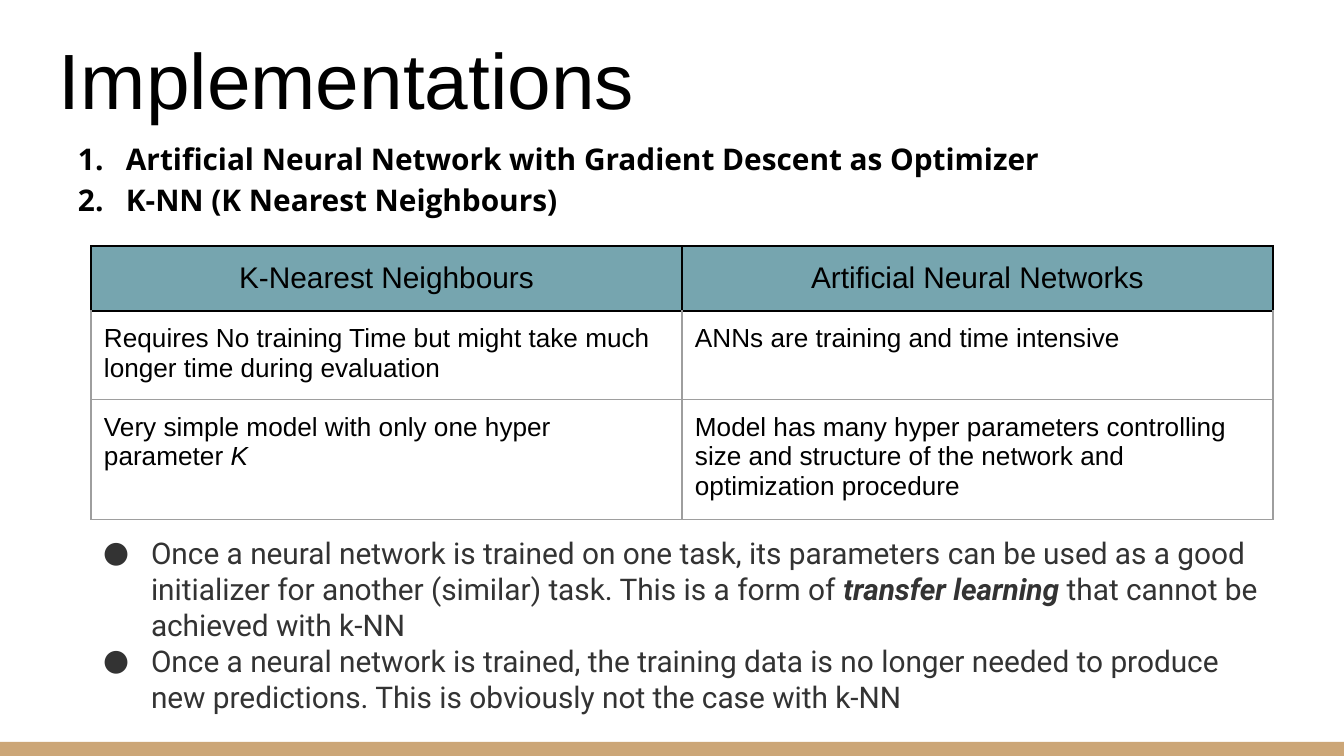
from lxml import etree
from pptx import Presentation
from pptx import util as u
from pptx.dml.color import RGBColor
from pptx.enum import shapes, text
from pptx.oxml import ns

PX = 914400 / 134.4
INK = {"black": "000000", "gray": "9E9E9E", "dark": "333333",
       "teal": "76A5AF", "tan": "CCA677"}
PAD = 13


def px(*vals):
    """Turn whole pixels into a list of EMU lengths."""
    return [u.Emu(round(v * PX)) for v in vals]


def write(frame, paras, size=16, font="Arial", color="black", bold=False,
          align=text.PP_ALIGN.LEFT, anchor=text.MSO_ANCHOR.TOP,
          space=1.0, bullet=None):
    """Fill a frame with paragraphs, each a list of (words, style) runs."""
    frame.word_wrap = True
    frame.vertical_anchor = anchor
    frame.margin_left, frame.margin_right, frame.margin_top, frame.margin_bottom = px(*[PAD] * 4)
    for i, runs in enumerate(paras):
        para = frame.add_paragraph() if i else frame.paragraphs[0]
        para.alignment, para.line_spacing = align, space
        para.space_before = para.space_after = u.Pt(0)
        for words, style in runs:
            run = para.add_run()
            run.text = words
            run.font.name, run.font.size = font, u.Pt(size)
            run.font.bold = bold or "b" in style
            run.font.italic = "i" in style
            run.font.color.rgb = RGBColor.from_string(INK[color])
        if bullet:
            props = para._p.get_or_add_pPr()
            left, hang = px(67, -48)
            props.set("marL", str(left))
            props.set("indent", str(hang))
            tint = etree.SubElement(props, ns.qn("a:buClr"))
            etree.SubElement(tint, ns.qn("a:srgbClr"), val=INK[color])
            etree.SubElement(props, ns.qn("a:buFont"), typeface=font)
            tag, key, mark = bullet
            etree.SubElement(props, ns.qn(tag)).set(key, mark)


deck = Presentation()
deck.slide_width, deck.slide_height = px(1344, 756)
slide = deck.slides.add_slide(deck.slide_layouts[5])

band = slide.shapes.add_shape(shapes.MSO_SHAPE.RECTANGLE, *px(0, 742, 1344, 14))
band.shadow.inherit = False
band.fill.solid()
band.fill.fore_color.rgb = RGBColor.from_string(INK["tan"])
band.line.fill.background()

title = slide.shapes.title
title.left, title.top, title.width, title.height = px(46, 16, 1252, 122)
title.text_frame.auto_size = text.MSO_AUTO_SIZE.NONE
write(title.text_frame, [[("Implementations", "")]], size=42,
      anchor=text.MSO_ANCHOR.BOTTOM)

models = slide.shapes.add_textbox(*px(46, 122, 1252, 110))
write(models.text_frame, [
    [("Artificial Neural Network with Gradient Descent as Optimizer", "")],
    [("K-NN (K Nearest Neighbours)", "")],
], font="Open Sans", bold=True, space=1.15,
    bullet=("a:buAutoNum", "type", "arabicPeriod"))

rows = [
    [[("K-Nearest Neighbours", "")], [("Artificial Neural Networks", "")]],
    [[("Requires No training Time but might take much longer time during evaluation", "")],
     [("ANNs are training and time intensive", "")]],
    [[("Very simple model with only one hyper parameter ", ""), ("K", "i")],
     [("Model has many hyper parameters controlling size and structure of "
       "the network and optimization procedure", "")]],
]
highs = [65, 85, 115]
table = slide.shapes.add_table(3, 2, *px(91, 246, 1182, sum(highs))).table
for col in table.columns:
    col.width = px(591)[0]
for r, (row, high) in enumerate(zip(rows, highs)):
    table.rows[r].height = px(high)[0]
    for c, runs in enumerate(row):
        cell = table.cell(r, c)
        head = r == 0
        write(cell.text_frame, [runs], size=16 if head else 14,
              align=text.PP_ALIGN.CENTER if head else text.PP_ALIGN.LEFT)
        cell.vertical_anchor = text.MSO_ANCHOR.MIDDLE if head else text.MSO_ANCHOR.TOP
        cell.margin_left, cell.margin_right, cell.margin_top, cell.margin_bottom = px(*[PAD] * 4)
        props = cell._tc.get_or_add_tcPr()
        for side in "LRTB":
            dark = head or (r == 1 and side == "T")
            edge = etree.SubElement(props, ns.qn("a:ln" + side), w=str(u.Pt(0.75)))
            fill = etree.SubElement(edge, ns.qn("a:solidFill"))
            etree.SubElement(fill, ns.qn("a:srgbClr"), val=INK["black" if dark else "gray"])
        if head:
            cell.fill.solid()
            cell.fill.fore_color.rgb = RGBColor.from_string(INK["teal"])
        else:
            cell.fill.background()

notes = slide.shapes.add_textbox(*px(71, 522, 1203, 199))
write(notes.text_frame, [
    [("Once a neural network is trained on one task, its parameters can be used "
      "as a good initializer for another (similar) task. This is a form of ", ""),
     ("transfer learning", "bi"), (" that cannot be achieved with k-NN", "")],
    [("Once a neural network is trained, the training data is no longer needed to "
      "produce new predictions. This is obviously not the case with k-NN", "")],
], font="Roboto", color="dark", bullet=("a:buChar", "char", "●"))

deck.save("out.pptx")
